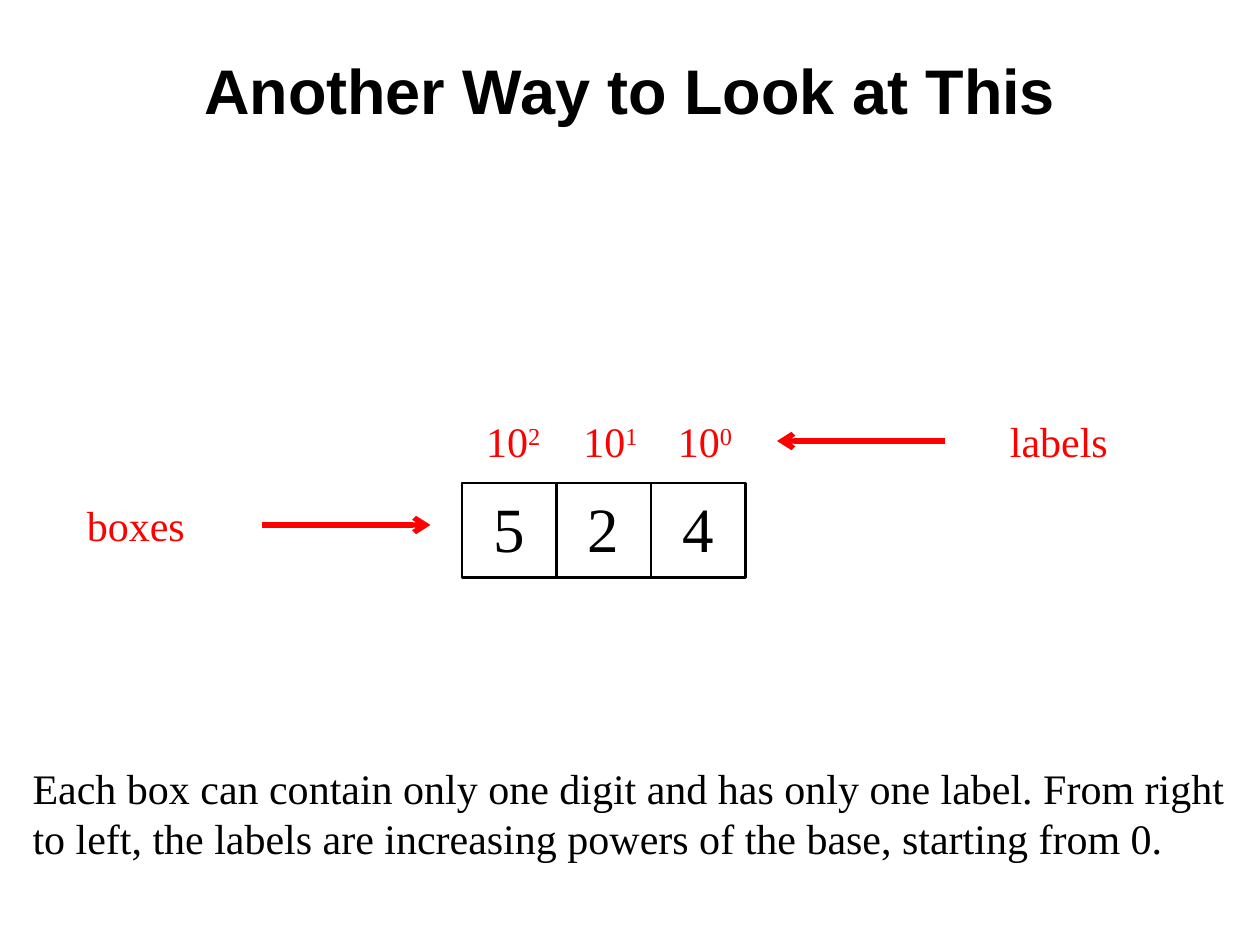
import pptx
import pptx.util
import pptx.dml.color
import pptx.enum.shapes
import pptx.enum.text
import pptx.oxml.ns
from lxml import etree

Pt = pptx.util.Pt
ALIGN = pptx.enum.text.PP_ALIGN
ANCHOR = pptx.enum.text.MSO_ANCHOR
AUTO = pptx.enum.text.MSO_AUTO_SIZE
qn = pptx.oxml.ns.qn

BLACK, RED = "000000", "FF0000"
SERIF, SANS = "Times New Roman", "Arial"

# Content
TITLE = "Another Way to Look at This"
# digit, exponent, left edge of the power label
PLACES = [("5", "2", 270.75), ("2", "1", 326.25), ("4", "0", 380.25)]
# text, left, top, width, height, colour
NOTES = [
    ("boxes", 42.5, 282, 70.5, 36, RED),
    ("labels", 570, 234, 70.5, 36, RED),
    ("Each box can contain only one digit and has only one label. From right\n"
     "to left, the labels are increasing powers of the base, starting from 0.",
     11.5, 432, 701.5, 65, BLACK),
]
# start x, end x, y
ARROWS = [(150, 246, 300), (540, 444, 252)]
BOX_LEFT, BOX_TOP, BOX_SIZE = 264, 276, 54
POWER_TOP, POWER_WIDTH, POWER_HEIGHT = 234, 45.5, 36


def rgb(value):
    return pptx.dml.color.RGBColor.from_string(value)


def style(tf, size, color, font=SERIF, bold=False, align=ALIGN.LEFT):
    for p in tf.paragraphs:
        p.alignment = align
        for r in p.runs:
            r.font.name = font
            r.font.size = Pt(size)
            r.font.bold = bold
            r.font.color.rgb = rgb(color)


def add_text(s, text, left, top, width, height):
    tf = s.shapes.add_textbox(Pt(left), Pt(top), Pt(width), Pt(height)).text_frame
    tf.word_wrap = False
    tf.auto_size = AUTO.SHAPE_TO_FIT_TEXT
    tf.text = text
    return tf


def add_arrow(s, x1, x2, y):
    line = s.shapes.add_connector(
        pptx.enum.shapes.MSO_CONNECTOR.STRAIGHT, Pt(x1), Pt(y), Pt(x2), Pt(y))
    line.line.color.rgb = rgb(RED)
    line.line.width = Pt(3)
    etree.SubElement(line.line._get_or_add_ln(), qn("a:tailEnd"), type="arrow")
    etree.SubElement(line._element.spPr, qn("a:effectLst"))


def add_digit_box(group, digit, left):
    sp = group.shapes.add_shape(
        pptx.enum.shapes.MSO_SHAPE.RECTANGLE,
        Pt(left), Pt(BOX_TOP), Pt(BOX_SIZE), Pt(BOX_SIZE))
    sp.shadow.inherit = False
    sp.fill.background()
    sp.line.color.rgb = rgb(BLACK)
    sp.line.width = Pt(1.5)
    tf = sp.text_frame
    tf.vertical_anchor = ANCHOR.TOP
    tf.text = digit
    style(tf, 36, BLACK, align=ALIGN.CENTER)


def main():
    prs = pptx.Presentation()
    prs.slide_width, prs.slide_height = Pt(720), Pt(540)
    s = prs.slides.add_slide(prs.slide_layouts[6])

    # Title
    tf = add_text(s, TITLE, 0, 24, 720, 54)
    tf.auto_size = AUTO.NONE
    tf.word_wrap = True
    tf.vertical_anchor = ANCHOR.MIDDLE
    style(tf, 36, BLACK, SANS, bold=True, align=ALIGN.CENTER)

    # Digit boxes with their powers of ten
    boxes = s.shapes.add_group_shape()
    for i, (digit, exponent, power_left) in enumerate(PLACES):
        add_digit_box(boxes, digit, BOX_LEFT + i * BOX_SIZE)
        tf = add_text(s, "10", power_left, POWER_TOP, POWER_WIDTH, POWER_HEIGHT)
        r = tf.paragraphs[0].add_run()
        r.text = exponent
        style(tf, 24, RED)
        r.font._element.set("baseline", "30000")

    # Arrows
    for arrow in ARROWS:
        add_arrow(s, *arrow)

    # Captions and explanation
    for text, left, top, width, height, color in NOTES:
        style(add_text(s, text, left, top, width, height), 24, color)

    prs.save("out.pptx")


if __name__ == "__main__":
    main()
